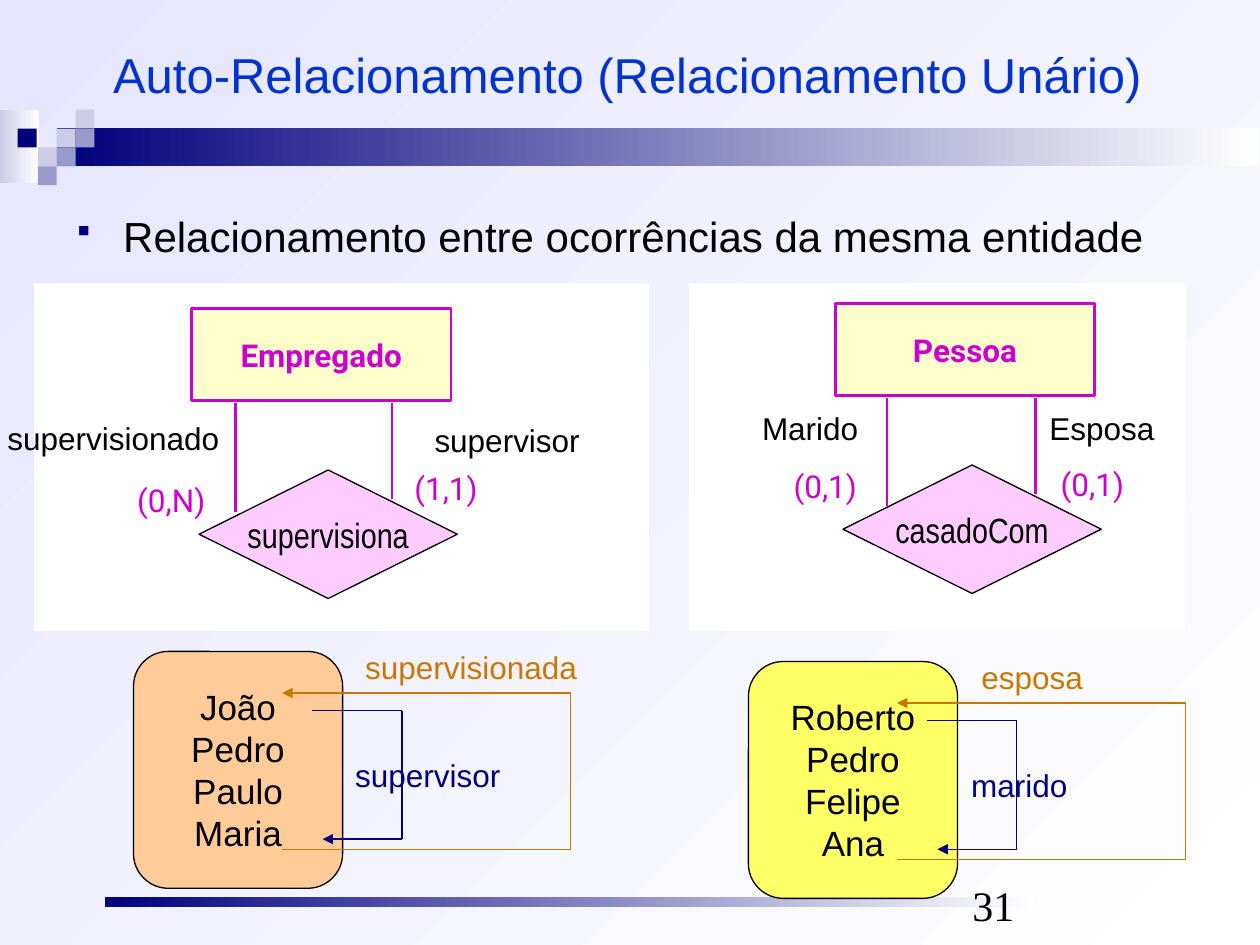
from dataclasses import dataclass

from lxml import etree
from pptx import Presentation
from pptx import util as u
from pptx.dml.color import RGBColor
from pptx.enum import shapes, text
from pptx.oxml.ns import qn

PX = 9144
SHAPE = shapes.MSO_SHAPE
ANCHOR = text.MSO_ANCHOR
ALIGN = text.PP_ALIGN
NAVY, LILAC, PURPLE = "00007D", "CCCCE6", "9999CC"
MAGENTA, ORANGE, BLACK, WHITE = "CC00CC", "C87700", "000000", "FFFFFF"


@dataclass
class Label:
    words: str
    x: int
    y: int
    w: int
    color: str = BLACK
    font: str = "Arial"


@dataclass
class Relation:
    entity: str
    name: str
    x: int
    y: int
    legs: tuple[int, int]
    labels: list[Label]


@dataclass
class Occurrence:
    people: list[str]
    x: int
    y: int
    fill: str
    labels: list[Label]


def px(*values: int) -> list[int]:
    return [u.Emu(v * PX) for v in values]


def rgb(value: str) -> RGBColor:
    return RGBColor.from_string(value)


def set_gradient(fill, start: str, end: str, angle: int) -> None:
    fill.gradient()
    fill.gradient_angle = angle
    for stop, color in zip(fill.gradient_stops, (start, end)):
        stop.color.rgb = rgb(color)


def add_shape(s, kind, box, fill: str, line: str = "", width: float = 0.75):
    sp = s.shapes.add_shape(kind, *px(*box))
    sp.shadow.inherit = False
    sp.fill.solid()
    sp.fill.fore_color.rgb = rgb(fill)
    if line:
        sp.line.color.rgb = rgb(line)
        sp.line.width = u.Pt(width)
    else:
        sp.line.fill.background()
    return sp


def add_bar(s, box, end: str) -> None:
    sp = add_shape(s, SHAPE.RECTANGLE, box, WHITE)
    set_gradient(sp.fill, WHITE, end, 180)


def write(sp, lines: list[str], size: int, color: str, font: str = "Arial",
          bold: bool = False, align=ALIGN.CENTER, **frame) -> None:
    tf = sp.text_frame
    form = {"word_wrap": False, "vertical_anchor": ANCHOR.MIDDLE} | frame
    for key, value in form.items():
        setattr(tf, key, value)
    for i, line in enumerate(lines):
        p = tf.add_paragraph() if i else tf.paragraphs[0]
        p.alignment = align
        r = p.add_run()
        r.text = line
        for key, value in {"size": u.Pt(size), "name": font, "bold": bold}.items():
            setattr(r.font, key, value)
        r.font.color.rgb = rgb(color)


def add_text(s, box, words: str, size: int, color: str, font: str = "Arial", **frame):
    sp = s.shapes.add_textbox(*px(*box))
    write(sp, [words], size, color, font, align=ALIGN.LEFT, **frame)
    return sp


def add_label(s, label: Label) -> None:
    add_text(s, (label.x, label.y, label.w, 40), label.words, 18, label.color,
             label.font, vertical_anchor=ANCHOR.TOP,
             auto_size=text.MSO_AUTO_SIZE.SHAPE_TO_FIT_TEXT)


def add_line(s, ends, color: str, width: float = 0.75, arrow: bool = False) -> None:
    cx = s.shapes.add_connector(shapes.MSO_CONNECTOR.STRAIGHT, *px(*ends))
    cx.line.color.rgb = rgb(color)
    cx.line.width = u.Pt(width)
    if arrow:
        etree.SubElement(cx.line._get_or_add_ln(), qn("a:tailEnd"), type="triangle")
    etree.SubElement(cx._element.spPr, qn("a:effectLst"))


def add_route(s, points, color: str) -> None:
    legs = list(zip(points, points[1:]))
    for i, (start, end) in enumerate(legs, 1):
        add_line(s, (*start, *end), color, arrow=i == len(legs))


def draw_relation(s, rel: Relation) -> None:
    x, y = rel.x, rel.y
    sp = add_shape(s, SHAPE.RECTANGLE, (x, y, 206, 73), "FFFFCC", MAGENTA, 1.5)
    write(sp, [rel.entity], 18, MAGENTA, "Roboto", True)
    for leg, length in zip(rel.legs, (86, 76)):
        add_line(s, (leg, y + 75, leg, y + 75 + length), MAGENTA, 1.5)
    sp = add_shape(s, SHAPE.FLOWCHART_DECISION, (x + 6, y + 128, 205, 102),
                   "FFCCFF", BLACK)
    write(sp, [rel.name], 20, BLACK, "Arial Narrow")
    for label in rel.labels:
        add_label(s, label)


def draw_occurrence(s, occ: Occurrence) -> None:
    x, y = occ.x, occ.y
    sp = add_shape(s, SHAPE.ROUNDED_RECTANGLE, (x, y, 166, 188), occ.fill, BLACK)
    write(sp, occ.people, 20, BLACK)
    routes = {
        NAVY: [(142, 47), (213, 47), (213, 149), (150, 149)],
        ORANGE: [(118, 157), (347, 157), (347, 33), (118, 33)],
    }
    for color, points in routes.items():
        add_route(s, [(x + dx, y + dy) for dx, dy in points], color)
    for label in occ.labels:
        add_label(s, label)


def draw_theme(s) -> None:
    set_gradient(s.background.fill, WHITE, "E5E5FF", 135)
    add_bar(s, (0, 87, 31, 58), LILAC)
    add_bar(s, (45, 102, 954, 30), NAVY)
    squares = [(45, 102, LILAC), (60, 87, LILAC), (60, 102, PURPLE), (30, 117, LILAC),
               (14, 102, NAVY), (45, 117, PURPLE), (30, 132, PURPLE)]
    for x, y, color in squares:
        add_shape(s, SHAPE.RECTANGLE, (x, y, 15, 15), color)
    add_bar(s, (83, 712, 738, 8), NAVY)


def draw_body(s) -> None:
    sp = s.shapes.add_textbox(*px(51, 162, 900, 504))
    pPr = sp.text_frame.paragraphs[0]._p.get_or_add_pPr()
    pPr.set("marL", str(37 * PX))
    pPr.set("indent", str(-37 * PX))
    color = etree.SubElement(pPr, qn("a:buClr"))
    etree.SubElement(color, qn("a:srgbClr"), val=NAVY)
    etree.SubElement(pPr, qn("a:buSzPct"), val="75000")
    etree.SubElement(pPr, qn("a:buFont"), typeface="Wingdings", charset="2")
    etree.SubElement(pPr, qn("a:buChar"), char="§")
    write(sp, ["Relacionamento entre ocorrências da mesma entidade"], 24, BLACK,
          align=ALIGN.LEFT, word_wrap=True, vertical_anchor=ANCHOR.TOP)


def main() -> None:
    prs = Presentation()
    prs.slide_width, prs.slide_height = px(1000, 750)
    s = prs.slides.add_slide(prs.slide_layouts[6])
    draw_theme(s)
    for x, w in ((547, 394), (27, 488)):
        add_shape(s, SHAPE.RECTANGLE, (x, 225, w, 276), WHITE)
    add_text(s, (80, 13, 900, 91), "Auto-Relacionamento (Relacionamento Unário)",
             28, "0033CC", word_wrap=True)
    draw_body(s)

    draw_relation(s, Relation("Empregado", "supervisiona", 152, 245, (187, 311), [
        Label("(0,N)", 99, 377, 75, MAGENTA, "Roboto"),
        Label("supervisor", 335, 329, 135),
        Label("(1,1)", 319, 367, 70, MAGENTA, "Roboto"),
        Label("supervisionado", -4, 328, 188)]))
    draw_occurrence(s, Occurrence(
        ["João", "Pedro", "Paulo", "Maria"], 106, 517, "FFCC99", [
            Label("supervisor", 272, 595, 135, NAVY),
            Label("supervisionada", 280, 509, 188, ORANGE)]))
    draw_relation(s, Relation("Pessoa", "casadoCom", 663, 241, (704, 822), [
        Label("(0,1)", 832, 364, 70, MAGENTA, "Roboto"),
        Label("(0,1)", 620, 366, 70, MAGENTA, "Roboto"),
        Label("Esposa", 823, 320, 107),
        Label("Marido", 595, 320, 100)]))
    draw_occurrence(s, Occurrence(
        ["Roberto", "Pedro", "Felipe", "Ana"], 594, 525, "FFFF66", [
            Label("marido", 761, 603, 100, NAVY),
            Label("esposa", 769, 517, 104, ORANGE)]))
    add_text(s, (762, 693, 233, 50), "31", 24, BLACK, "Times New Roman",
             word_wrap=True, vertical_anchor=ANCHOR.BOTTOM)
    prs.save("out.pptx")


if __name__ == "__main__":
    main()
